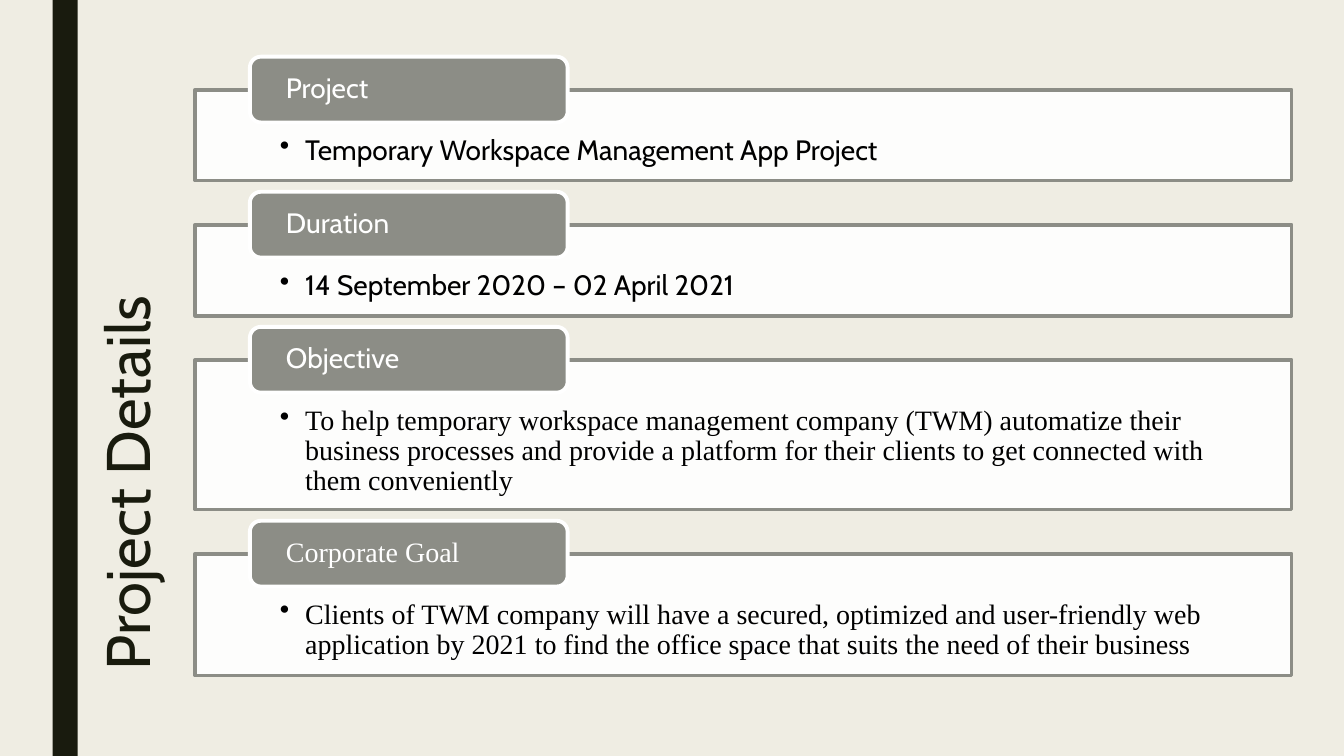
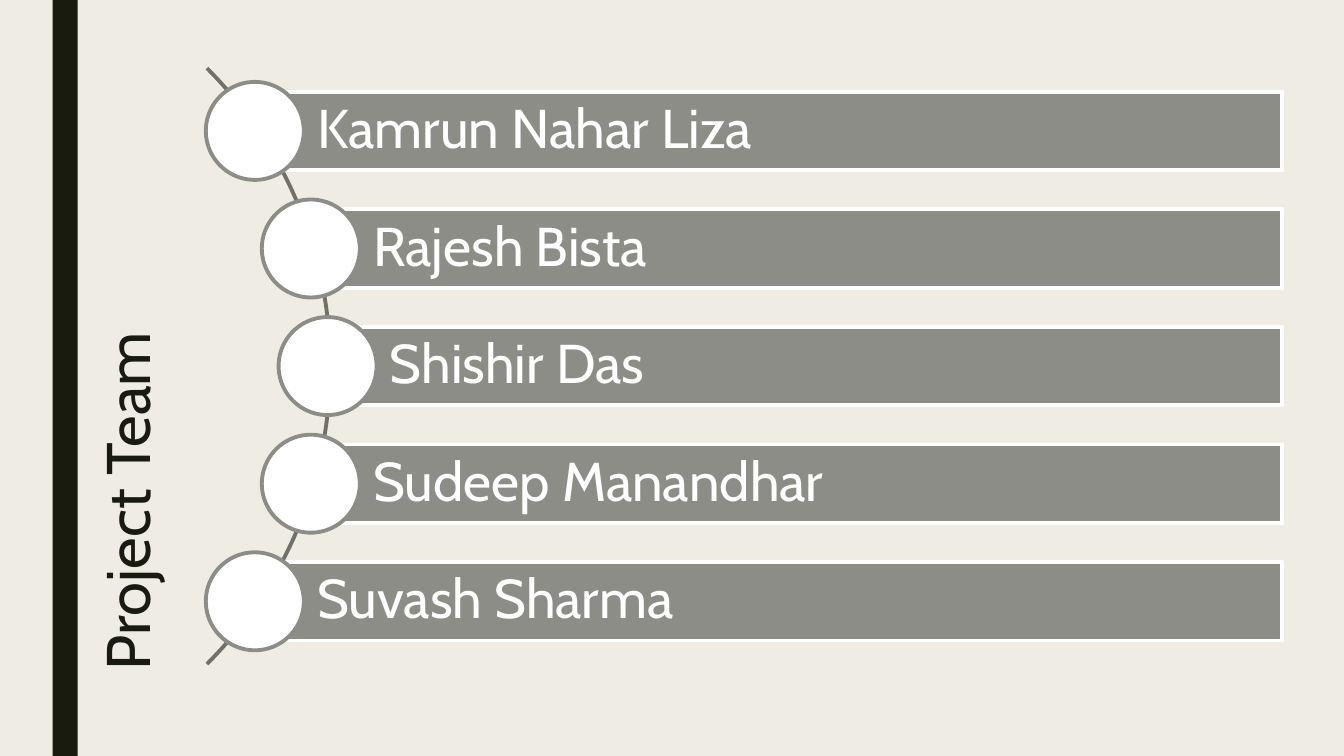
from math import cos, radians, sin

from lxml import etree
from pptx import Presentation
from pptx.dml.color import RGBColor
from pptx.enum.shapes import MSO_SHAPE
from pptx.enum.text import MSO_ANCHOR, PP_ALIGN
from pptx.oxml.ns import qn
from pptx.util import Pt

RECT = MSO_SHAPE.RECTANGLE
ROUND = MSO_SHAPE.ROUNDED_RECTANGLE
OVAL = MSO_SHAPE.OVAL
TOP, MIDDLE = MSO_ANCHOR.TOP, MSO_ANCHOR.MIDDLE
LEFT = PP_ALIGN.LEFT

PAPER, INK, GRAY, STEEL = "EFEDE3", "191B0E", "8C8D86", "70716B"
WHITE, BLACK = "FFFFFF", "000000"
SANS, SERIF = "Cabin", "Times New Roman"
STROKE = 2.75

DETAILS = [
    ("Project", SANS, "Temporary Workspace Management App Project", SANS, 65),
    ("Duration", SANS, "14 September 2020 – 02 April 2021", SANS, 65),
    ("Objective", SANS,
     "To help temporary workspace management company (TWM) automatize their "
     "business processes and provide a platform for their clients to get "
     "connected with them conveniently", SERIF, 107),
    ("Corporate Goal", SERIF,
     "Clients of TWM company will have a secured, optimized and user-friendly "
     "web application by 2021 to find the office space that suits the need of "
     "their business", SERIF, 87),
]
TEAM = [
    ("Kamrun Nahar Liza", 182),
    ("Rajesh Bista", 222),
    ("Shishir Das", 234),
    ("Sudeep Manandhar", 222),
    ("Suvash Sharma", 182),
]


def color(code):
    """Turn a hex string into a colour."""
    return RGBColor.from_string(code)


class Deck:
    """Hold the shared style and the current slide."""

    def __init__(self):
        """Start an empty wide deck."""
        self.show = Presentation()
        self.show.slide_width, self.show.slide_height = Pt(960), Pt(540)
        self.slide = None

    def page(self, title):
        """Add a slide with its background, side band and upright title."""
        self.slide = self.show.slides.add_slide(self.show.slide_layouts[6])
        back = self.slide.background.fill
        back.solid()
        back.fore_color.rgb = color(PAPER)
        self.shape(RECT, 37.5, 0, 18, 540, INK)
        wide, high = 448.5, 62.5
        box = self.slide.shapes.add_textbox(
            Pt(97 - wide / 2), Pt(261.5 - high / 2), Pt(wide), Pt(high))
        box.rotation = 270
        self.text(box, title, 44, INK, SANS, TOP, (7.2, 3.6, 7.2, 3.6))

    def shape(self, kind, x, y, wide, high, fill, line=None):
        """Add a filled preset shape with an optional outline."""
        item = self.slide.shapes.add_shape(
            kind, Pt(x), Pt(y), Pt(wide), Pt(high))
        item.fill.solid()
        item.fill.fore_color.rgb = color(fill)
        self.edge(item, line)
        return item

    def edge(self, item, line):
        """Set the outline and drop the shadow."""
        item.shadow.inherit = False
        if line:
            item.line.color.rgb = color(line)
            item.line.width = Pt(STROKE)
        else:
            item.line.fill.background()

    def text(self, item, words, size, ink, face, anchor, inset):
        """Write one styled paragraph into a shape."""
        frame = item.text_frame
        frame.word_wrap = True
        frame.vertical_anchor = anchor
        (frame.margin_left, frame.margin_top,
         frame.margin_right, frame.margin_bottom) = map(Pt, inset)
        para = frame.paragraphs[0]
        para.text = words
        para.alignment = LEFT
        para.line_spacing = 0.9
        para.font.size = Pt(size)
        para.font.name = face
        para.font.color.rgb = color(ink)
        return para

    def bullet(self, para):
        """Give a paragraph a hanging bullet."""
        props = para._p.get_or_add_pPr()
        props.set("marL", str(Pt(18)))
        props.set("indent", str(-Pt(18)))
        mark = etree.Element(qn("a:buChar"), char="•")
        props.find(qn("a:defRPr")).addprevious(mark)

    def panel(self, y, high, head, font, body, face):
        """Add a framed bullet with a tab over its top edge."""
        frame = self.shape(RECT, 139.5, y, 783, high, WHITE, GRAY)
        tint = frame.fill._xPr.find(".//" + qn("a:srgbClr"))
        etree.SubElement(tint, qn("a:alpha"), val="90000")
        self.bullet(self.text(
            frame, body, 20, BLACK, face, TOP, (60.5, 33, 60.5, 11.5)))
        tab = self.shape(ROUND, 178.5, y - 23.5, 227, 47, GRAY, WHITE)
        self.text(tab, head, 20, WHITE, font, MIDDLE, (23.5, 0, 23.5, 0))

    def arc(self, x, y, radius, sweep):
        """Draw an open arc around the point x, y."""
        dots = [(Pt(x + radius * cos(radians(deg))),
                 Pt(y + radius * sin(radians(deg))))
                for deg in range(-sweep, sweep + 1)]
        pen = self.slide.shapes.build_freeform(*dots[0])
        pen.add_line_segments(dots[1:], close=False)
        curve = pen.convert_to_shape()
        curve.fill.background()
        self.edge(curve, STEEL)

    def member(self, x, y, name):
        """Add a name bar with a disc, both centred on height y."""
        bar = self.shape(RECT, x, y - 28, 916 - x, 56, GRAY, WHITE)
        self.text(bar, name, 39, WHITE, SANS, MIDDLE, (44.5, 8, 8, 8))
        self.shape(OVAL, x - 35, y - 35, 70, 70, WHITE, GRAY)


def main():
    """Build and save both slides."""
    deck = Deck()
    deck.page("Project Details")
    y = 64
    for head, font, body, face, high in DETAILS:
        deck.panel(y, high, head, font, body, face)
        y += high + 31.5

    deck.page("Project Team")
    deck.arc(-65, 261.5, 301, 45)
    for row, (name, x) in enumerate(TEAM):
        deck.member(x, 93.5 + 84 * row, name)
    deck.show.save("out.pptx")


if __name__ == "__main__":
    main()
